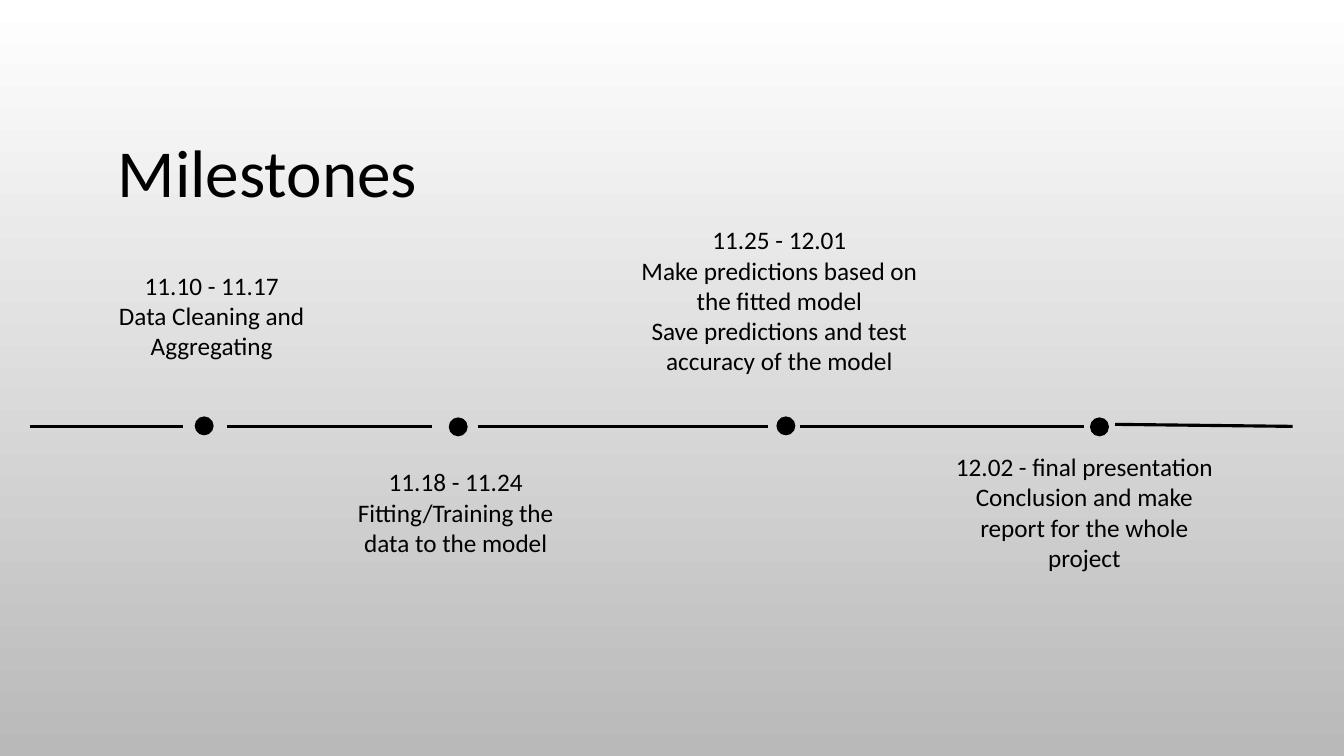
"""Build the Milestones timeline slide."""
from dataclasses import dataclass

from lxml import etree
from pptx import Presentation, util as u
from pptx.dml import color
from pptx.enum import shapes, text
from pptx.oxml import ns


@dataclass(frozen=True)
class Theme:
    font: str = "Calibri"
    ink: color.RGBColor = color.RGBColor(0, 0, 0)
    top: color.RGBColor = color.RGBColor(255, 255, 255)
    bottom: color.RGBColor = color.RGBColor(0xB9, 0xB9, 0xB9)
    title_size: int = 48
    body_size: int = 18
    axis_width: float = 2.25
    outline_width: float = 1.25


class SlideBuilder:
    def __init__(self, slide, theme):
        self.slide = slide
        self.theme = theme

    def background(self):
        fill = self.slide.background.fill
        fill.gradient()
        fill.gradient_angle = 270
        for stop, rgb in zip(fill.gradient_stops, (self.theme.top, self.theme.bottom)):
            stop.color.rgb = rgb

    def label(self, box, lines, size, align):
        shape = self.slide.shapes.add_textbox(*map(u.Inches, box))
        frame = shape.text_frame
        frame.word_wrap = True
        frame.auto_size = text.MSO_AUTO_SIZE.SHAPE_TO_FIT_TEXT
        frame.text = "\n".join(lines)
        for paragraph in frame.paragraphs:
            paragraph.alignment = align
            for run in paragraph.runs:
                run.font.name = self.theme.font
                run.font.size = u.Pt(size)
                run.font.color.rgb = self.theme.ink

    def line(self, start, end):
        points = map(u.Inches, (*start, *end))
        connector = self.slide.shapes.add_connector(shapes.MSO_CONNECTOR.STRAIGHT, *points)
        connector.line.color.rgb = self.theme.ink
        connector.line.width = u.Pt(self.theme.axis_width)
        etree.SubElement(connector._element.spPr, ns.qn("a:effectLst"))

    def dot(self, left, top, size):
        box = map(u.Inches, (left, top, size, size))
        shape = self.slide.shapes.add_shape(shapes.MSO_SHAPE.OVAL, *box)
        shape.shadow.inherit = False
        shape.fill.solid()
        shape.fill.fore_color.rgb = self.theme.ink
        shape.line.color.rgb = self.theme.ink
        shape.line.width = u.Pt(self.theme.outline_width)


AXIS_Y = 4.23
DOT_SIZE = 0.17
SEGMENTS = [
    (0.3, 1.82, AXIS_Y),
    (2.25, 4.28, AXIS_Y),
    (4.74, 7.62, AXIS_Y),
    (7.93, 10.75, AXIS_Y),
    (11.06, 12.82, 4.21),
]
MILESTONES = [
    ((1.94, 4.14), (1.07, 2.63, 2.06, 1.01),
     ["11.10 - 11.17", "Data Cleaning and Aggregating"]),
    ((4.46, 4.15), (3.45, 4.58, 2.14, 1.01),
     ["11.18 - 11.24", "Fitting/Training the data to the model"]),
    ((7.71, 4.14), (6.1, 2.18, 3.26, 1.92),
     ["11.25 - 12.01", "Make predictions based on the fitted model",
      "Save predictions and test accuracy of the model"]),
    ((10.82, 4.15), (9.37, 4.43, 2.77, 1.31),
     ["12.02 - final presentation", "Conclusion and make report for the whole project"]),
]

presentation = Presentation()
presentation.slide_width = u.Inches(13.33)
presentation.slide_height = u.Inches(7.5)
theme = Theme()
builder = SlideBuilder(presentation.slides.add_slide(presentation.slide_layouts[6]), theme)

builder.background()
builder.label((1.07, 1.24, 7.48, 0.91), ["Milestones"], theme.title_size, text.PP_ALIGN.LEFT)
for left, right, start_y in SEGMENTS:
    builder.line((left, start_y), (right, AXIS_Y))
for dot_position, label_box, lines in MILESTONES:
    builder.label(label_box, lines, theme.body_size, text.PP_ALIGN.CENTER)
    builder.dot(*dot_position, DOT_SIZE)

presentation.save("out.pptx")
